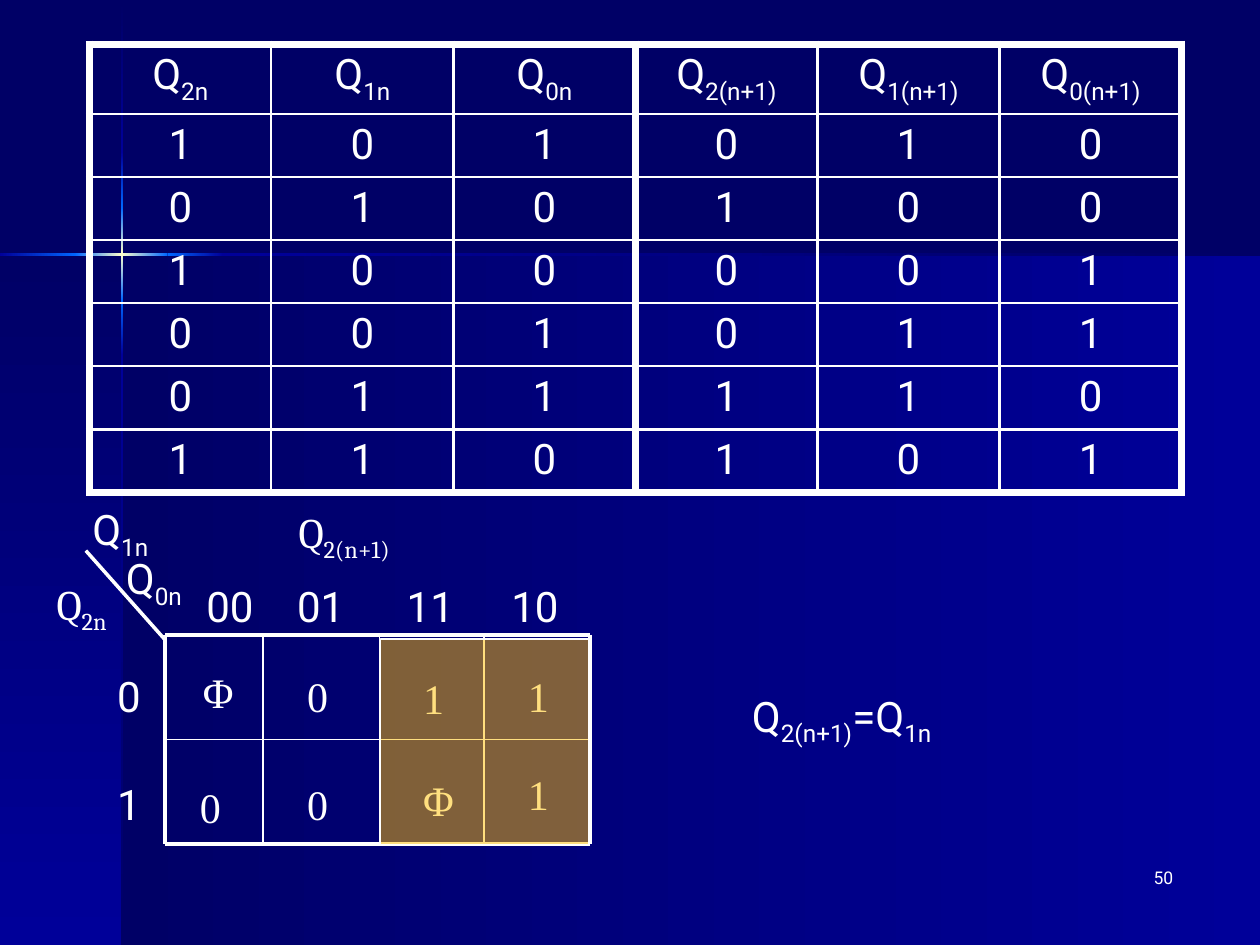
from dataclasses import dataclass

from lxml import etree
from pptx import Presentation
from pptx.dml.color import RGBColor
from pptx.enum.shapes import MSO_CONNECTOR, MSO_SHAPE
from pptx.enum.text import PP_ALIGN
from pptx.oxml.ns import qn
from pptx.util import Cm, Pt

STRAIGHT = MSO_CONNECTOR.STRAIGHT
RECTANGLE = MSO_SHAPE.RECTANGLE
LEFT, CENTER, RIGHT = PP_ALIGN.LEFT, PP_ALIGN.CENTER, PP_ALIGN.RIGHT


@dataclass(frozen=True)
class Theme:
    """Colours, fonts and sizes of the slide."""
    night: str = "000066"
    navy: str = "000099"
    azure: str = "0066FF"
    glow: str = "FFFFCC"
    white: str = "FFFFFF"
    amber: str = "FFC000"
    sans: str = "Roboto"
    serif: str = "Cambria"
    roman: str = "Times New Roman"
    body: float = 24
    small: float = 10
    thick: float = 4.5
    thin: float = 1.5


THEME = Theme()
STATES = [
    ["Q|2n", "Q|1n", "Q|0n", "Q|2(n+1)", "Q|1(n+1)", "Q|0(n+1)"],
    *map(list, ["101010", "010100", "100001", "001011", "011110", "110101"]),
]


def add_element(parent, tag, **attributes):
    """Append an XML element and return it."""
    element = etree.SubElement(parent, qn(tag))
    for name, value in attributes.items():
        element.set(name, str(value))
    return element


def write_text(frame, text, font=THEME.sans, size=THEME.body, align=LEFT):
    """Write text in which every second part between bars is a subscript."""
    para = frame.paragraphs[0]
    para.alignment = align
    for index, part in enumerate(text.split("|")):
        span = para.add_run()
        span.text = part
        span.font.name = font
        span.font.size = Pt(size)
        span.font.color.rgb = RGBColor.from_string(THEME.white)
        if index % 2:
            span.font._element.set("baseline", "-25000")


def add_text(page, text, left, top, width, height=1.27, **style):
    """Add a wrapping text box."""
    box = page.shapes.add_textbox(Cm(left), Cm(top), Cm(width), Cm(height))
    box.text_frame.word_wrap = True
    write_text(box.text_frame, text, **style)


def add_rectangle(page, left, top, width, height):
    """Add a rectangle without a shadow."""
    shape = page.shapes.add_shape(RECTANGLE, Cm(left), Cm(top), Cm(width), Cm(height))
    shape.shadow.inherit = False
    return shape


def add_gradient(page, bounds, angle, *colours):
    """Add a borderless rectangle with evenly spaced gradient stops."""
    shape = add_rectangle(page, *bounds)
    shape.line.fill.background()
    shape.fill.gradient()
    shape.fill.gradient_angle = -angle % 360
    stops = shape._element.spPr.find(qn("a:gradFill")).find(qn("a:gsLst"))
    for stop in list(stops):
        stops.remove(stop)
    for index, colour in enumerate(colours):
        stop = add_element(stops, "a:gs", pos=index * 100000 // (len(colours) - 1))
        add_element(stop, "a:srgbClr", val=colour)


def add_line(page, x1, y1, x2, y2, weight):
    """Add a straight white line."""
    line = page.shapes.add_connector(STRAIGHT, Cm(x1), Cm(y1), Cm(x2), Cm(y2))
    line.line.color.rgb = RGBColor.from_string(THEME.white)
    line.line.width = Pt(weight)
    add_element(line._element.spPr, "a:effectLst")


def add_backdrop(page):
    """Paint the panels and the glowing cross."""
    page.background.fill.solid()
    page.background.fill.fore_color.rgb = RGBColor.from_string(THEME.night)
    night, navy, azure, glow = THEME.night, THEME.navy, THEME.azure, THEME.glow
    add_gradient(page, (2.46, 5.13, 22.94, 13.92), 0, night, navy)
    add_gradient(page, (0, 5.13, 2.46, 13.92), 90, night, navy)
    upright = [
        (0.03, 3.04, night, navy),
        (7.16, 11.89, navy, night),
        (6.05, 1.11, azure, navy),
        (3.07, 1.12, navy, azure),
        (4.19, 1.86, azure, glow, azure),
    ]
    for top, height, *colours in upright:
        add_gradient(page, (2.44, top, 0.05, height), 90, *colours)
    level = [
        (4.5, 20.9, navy, night),
        (0, 1.55, navy, azure),
        (3.38, 1.12, azure, navy),
        (1.52, 1.86, azure, glow, azure),
    ]
    for left, width, *colours in level:
        add_gradient(page, (left, 5.11, width, 0.05), 0, *colours)


def set_borders(cell, **weights):
    """Set the white borders of a cell by side."""
    properties = cell._tc.get_or_add_tcPr()
    for side, weight in weights.items():
        border = add_element(properties, f"a:ln{side}", w=Pt(weight))
        add_element(add_element(border, "a:solidFill"), "a:srgbClr", val=THEME.white)


def add_state_table(page):
    """Add the table of present and next states."""
    rows, columns = len(STATES), len(STATES[0])
    frame = page.shapes.add_table(rows, columns, Cm(1.8), Cm(0.89), Cm(22.02), Cm(8.86))
    table = frame.table
    table.first_row = table.horz_banding = False
    for column in table.columns:
        column.width = Cm(3.67)
    for index, row in enumerate(table.rows):
        row.height = Cm(1.25 if index else 1.36)

    def weight(edge, thick_edges):
        """Return the border weight at a grid edge."""
        return THEME.thick if edge in thick_edges else THEME.thin

    across, down = (0, columns // 2, columns), (0, rows)
    for r, values in enumerate(STATES):
        for c, value in enumerate(values):
            cell = table.cell(r, c)
            set_borders(cell, L=weight(c, across), R=weight(c + 1, across),
                        T=weight(r, down), B=weight(r + 1, down))
            cell.fill.background()
            write_text(cell.text_frame, value, align=CENTER)


def add_karnaugh_map(page):
    """Add the Karnaugh map with its headings, values and marked group."""
    xs, ys = [3.33, 5.31, 7.65, 9.75, 11.89], [12.8, 14.91, 17.02]
    for y, weight in zip(ys, [2.25, 1, 2.25]):
        add_line(page, xs[0], y, xs[-1], y, weight)
    for x, weight in zip(xs, [2.25, 1, 1, 1, 2.25]):
        add_line(page, x, ys[0], x, ys[-1], weight)
    add_line(page, 1.73, 11.1, xs[0], 12.9, 2)

    add_text(page, "Q|1n", 1.5, 10.03, 1.85, align=CENTER)
    add_text(page, "Q|0n", 2.29, 11.02, 1.8)
    add_text(page, "Q|2n", 0.89, 11.53, 1.88, font=THEME.serif)
    add_text(page, "Q|2(n+1)", 5.77, 10.08, 2.84, font=THEME.serif)
    for text, left in [("00", 3.91), ("01", 5.74), ("11", 7.95), ("10", 10.06)]:
        add_text(page, text, left, 11.58, 1.6)
    for text, top in [("0", 13.39), ("1", 15.57)]:
        add_text(page, text, 2.11, top, 1.6)

    values = [
        ("Φ", 3.84, 13.31), ("0", 5.94, 13.39), ("1", 8.28, 13.44), ("1", 10.39, 13.39),
        ("0", 3.78, 15.62), ("0", 5.94, 15.57), ("Φ", 8.28, 15.49), ("1", 10.39, 15.37),
    ]
    for text, left, top in values:
        add_text(page, text, left, top, 1.3, font=THEME.roman)

    group = add_rectangle(page, 7.67, 12.88, 4.19, 4.14)
    group.fill.solid()
    group.fill.fore_color.rgb = RGBColor.from_string(THEME.amber)
    colour = group._element.spPr.find(qn("a:solidFill")).find(qn("a:srgbClr"))
    add_element(colour, "a:alpha", val=50000)
    group.line.color.rgb = RGBColor.from_string(THEME.white)
    group.line.width = Pt(0.75)


def main():
    """Build and save the slide."""
    deck = Presentation()
    deck.slide_width, deck.slide_height = Cm(25.4), Cm(19.05)
    page = deck.slides.add_slide(deck.slide_layouts[6])
    add_backdrop(page)
    add_text(page, "50", 18.62, 17.35, 5.28, size=THEME.small, align=RIGHT)
    add_state_table(page)
    add_karnaugh_map(page)
    add_text(page, "Q|2(n+1)|=Q|1n", 14.91, 13.79, 5.69)
    deck.save("out.pptx")


if __name__ == "__main__":
    main()
